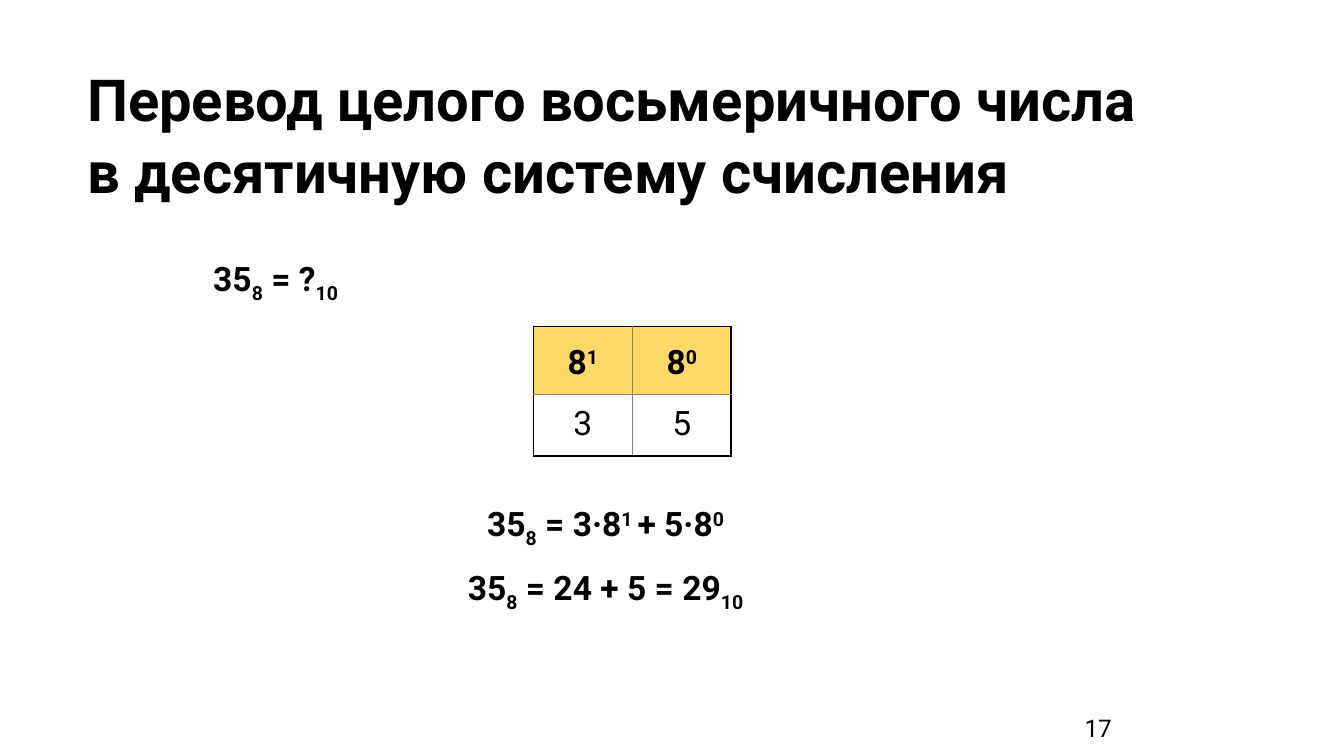
"""Builds a slide on converting an octal integer to decimal."""
from lxml.etree import SubElement
from pptx import Presentation
from pptx.dml.color import RGBColor
from pptx.enum.text import PP_ALIGN as Align
from pptx.oxml.ns import qn
from pptx.util import Cm, Pt

COLORS = {"text": "000000", "grid": "808080", "head": "FFD966", "body": "FFFFFF"}
SUB, SUP = -25000, 30000


def write(paragraph, parts, size=18, bold=True, align=Align.LEFT, spacing=1.0):
    paragraph.alignment = align
    paragraph.line_spacing = spacing
    for text, baseline in parts:
        run = paragraph.add_run()
        run.text = text
        run.font.name = "Roboto"
        run.font.size = Pt(size)
        run.font.bold = bold
        run.font.color.rgb = RGBColor.from_string(COLORS["text"])
        if baseline:
            run.font._element.set("baseline", str(baseline))


def add_border(cell, side, color, width):
    line = SubElement(cell._tc.get_or_add_tcPr(), qn(f"a:ln{side}"), w=str(Pt(width)))
    fill = SubElement(line, qn("a:solidFill"))
    SubElement(fill, qn("a:srgbClr"), val=COLORS[color])


deck = Presentation()
deck.slide_width, deck.slide_height = Cm(25.4), Cm(14.28)
slide = deck.slides.add_slide(deck.slide_layouts[6])

page_number = slide.shapes.add_textbox(Cm(18.72), Cm(13.34), Cm(2.54), Cm(0.89)).text_frame
page_number.word_wrap = True
write(page_number.paragraphs[0], [("17", 0)], 13, False, Align.RIGHT)

title = slide.shapes.add_textbox(Cm(1.4), Cm(0.92), Cm(23.67), Cm(3.05)).text_frame
title.word_wrap = True
title.margin_top = title.margin_bottom = Cm(0.25)
heading = title.paragraphs[0]
write(heading, [("Перевод целого восьмеричного числа", 0)], 31, spacing=1.03)
heading.add_line_break()
write(heading, [("в десятичную систему счисления", 0)], 31, spacing=1.03)

digits = slide.shapes.add_table(2, 2, Cm(10.08), Cm(6.17), Cm(3.74), Cm(2.41)).table
digits.first_row = digits.horz_banding = False
digit_rows = [
    (1.26, "head", True, 1.15, [[("8", 0), ("1", SUP)], [("8", 0), ("0", SUP)]]),
    (1.15, "body", False, 1.0, [[("3", 0)], [("5", 0)]]),
]
for r, (height, fill, bold, spacing, row) in enumerate(digit_rows):
    digits.rows[r].height = Cm(height)
    for c, parts in enumerate(row):
        cell = digits.cell(r, c)
        cell.margin_left = cell.margin_right = Cm(0.2)
        cell.margin_top = cell.margin_bottom = Cm(0.2)
        write(cell.text_frame.paragraphs[0], parts, 18, bold, Align.CENTER, spacing)
        for side, outer in (("L", c == 0), ("R", c == 1), ("T", r == 0), ("B", r == 1)):
            add_border(cell, side, *(("text", 1) if outer else ("grid", 0.5)))
        cell.fill.solid()
        cell.fill.fore_color.rgb = RGBColor.from_string(COLORS[fill])

equations = [
    (3.78, 4.62, 12.7, Align.LEFT, [("35", 0), ("8", SUB), (" = ?", 0), ("10", SUB)]),
    (3.84, 9.25, 15.21, Align.CENTER,
     [("35", 0), ("8", SUB), (" = 3·8", 0), ("1 ", SUP), ("+ 5·8", 0), ("0", SUP)]),
    (3.84, 10.46, 15.21, Align.CENTER,
     [("35", 0), ("8", SUB), (" = 24 + 5 = 29", 0), ("10", SUB)]),
]
for left, top, width, align, parts in equations:
    equation = slide.shapes.add_textbox(Cm(left), Cm(top), Cm(width), Cm(1.09)).text_frame
    equation.word_wrap = True
    write(equation.paragraphs[0], parts, align=align, spacing=1.15)

deck.save("out.pptx")
